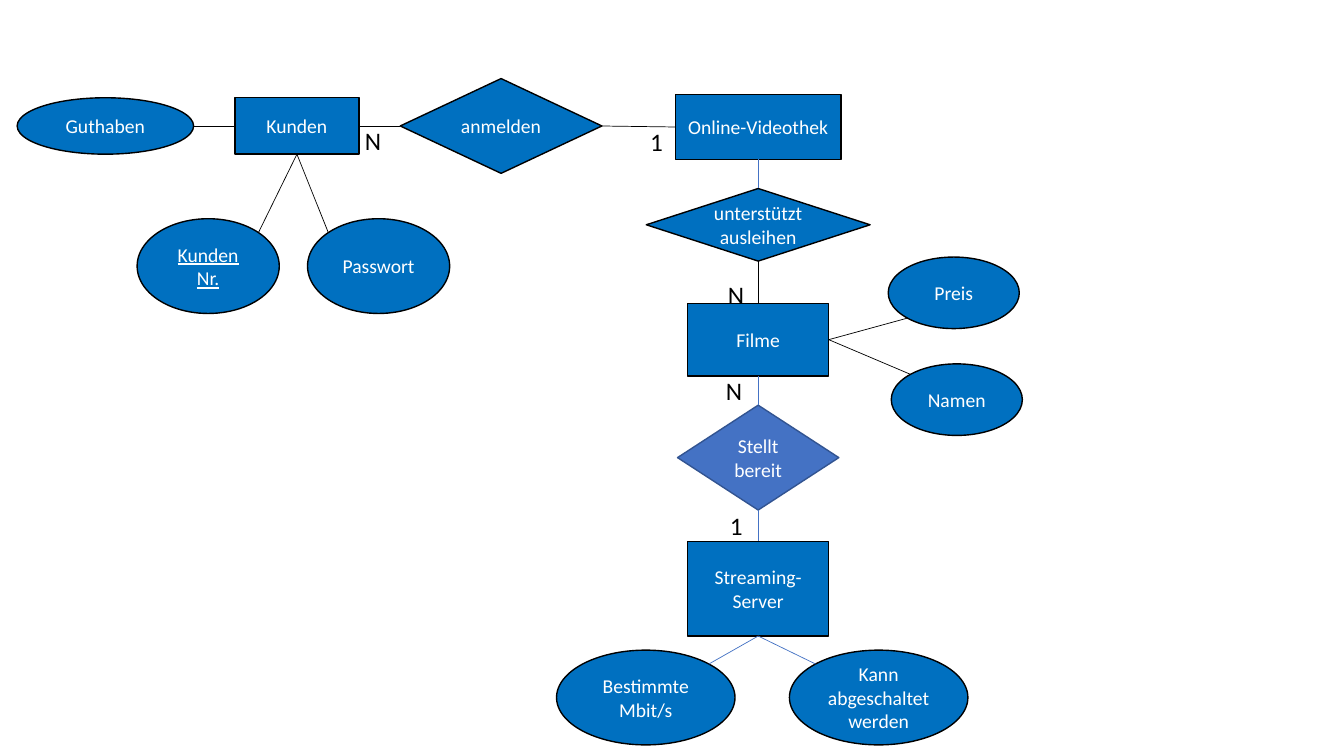
import math
import pptx
import pptx.dml.color
import pptx.enum.shapes
import pptx.enum.text
import pptx.oxml
import pptx.util

Inches = pptx.util.Inches
RGB = pptx.dml.color.RGBColor
KIND = pptx.enum.shapes.MSO_SHAPE
RECT, OVAL, RHOMB = KIND.RECTANGLE, KIND.OVAL, KIND.DIAMOND

BLUE = RGB(0x00, 0x70, 0xC0)
INDIGO = RGB(0x44, 0x72, 0xC4)
NAVY = RGB(0x32, 0x54, 0x91)
BLACK = RGB(0, 0, 0)
WHITE = RGB(255, 255, 255)
TOP, LEFT, BOTTOM, RIGHT = range(4)


def style(par, size, color):
    par.font.name = "Calibri"
    par.font.size = pptx.util.Pt(size)
    par.font.color.rgb = color


def node(slide, kind, text, x, y, w, h, fill=BLUE, edge=BLACK):
    shape = slide.shapes.add_shape(kind, Inches(x), Inches(y), Inches(w), Inches(h))
    shape.shadow.inherit = False
    shape.fill.solid()
    shape.fill.fore_color.rgb = fill
    shape.line.color.rgb = edge
    shape.line.width = pptx.util.Pt(1)
    frame = shape.text_frame
    frame.word_wrap = True
    frame.vertical_anchor = pptx.enum.text.MSO_ANCHOR.MIDDLE
    frame.text = text
    for par in frame.paragraphs:
        par.alignment = pptx.enum.text.PP_ALIGN.CENTER
        style(par, 14, WHITE)
    return shape


def label(slide, text, x, y):
    box = slide.shapes.add_textbox(Inches(x), Inches(y), Inches(0.31), Inches(0.4))
    box.text_frame.word_wrap = True
    box.text_frame.text = text
    style(box.text_frame.paragraphs[0], 18, BLACK)


def line(slide, start, side, x, y, color):
    """Draw a line from the middle of a node's side to a point."""
    wire = slide.shapes.add_connector(
        pptx.enum.shapes.MSO_CONNECTOR.STRAIGHT, x, y, x, y)
    wire.begin_connect(start, side)
    wire.line.color.rgb = color
    wire.line.width = pptx.util.Pt(0.5)
    wire._element.spPr.append(pptx.oxml.parse_xml(
        '<a:effectLst xmlns:a="http://schemas.openxmlformats.org/drawingml/2006/main"/>'))
    return wire


def join(slide, start, side, end, other, color=BLACK):
    wire = line(slide, start, side, end.left, end.top, color)
    wire.end_connect(end, other)


def reach(slide, start, side, oval, angle, color=BLACK):
    """Draw a line from a node's side to an oval's rim at a clockwise angle."""
    turn = math.radians(angle)
    x = oval.left + oval.width / 2 * (1 + math.cos(turn))
    y = oval.top + oval.height / 2 * (1 + math.sin(turn))
    line(slide, start, side, round(x), round(y), color)


def client(slide, x, y):
    buyer = node(slide, RECT, "Kunden", x + 2.16, y + 0.19, 1.23, 0.56)
    number = node(slide, OVAL, "Kunden Nr.", x + 1.19, y + 1.39, 1.41, 0.94)
    number.text_frame.paragraphs[0].font.underline = True
    code = node(slide, OVAL, "Passwort", x + 2.88, y + 1.39, 1.41, 0.94)
    funds = node(slide, OVAL, "Guthaben", x, y + 0.19, 1.75, 0.56)
    login = node(slide, RHOMB, "anmelden", x + 3.8, y, 2, 0.94)
    reach(slide, buyer, LEFT, funds, 0)
    reach(slide, buyer, BOTTOM, number, -45)
    reach(slide, buyer, BOTTOM, code, -135)
    join(slide, buyer, RIGHT, login, LEFT)
    label(slide, "N", x + 3.35, y + 0.41)
    return login


def rental(slide, x, y):
    """Place the shop, the films and their attributes."""
    mid = x + 1.11
    shop = node(slide, RECT, "Online-Videothek", mid - 0.82, y, 1.64, 0.64)
    lend = node(slide, RHOMB, "unterstützt\nausleihen", x, y + 0.93, 2.22, 0.72)
    films = node(slide, RECT, "Filme", mid - 0.7, y + 2.07, 1.4, 0.72)
    price = node(slide, OVAL, "Preis", x + 2.4, y + 1.61, 1.3, 0.71)
    name = node(slide, OVAL, "Namen", x + 2.43, y + 2.67, 1.3, 0.71)
    join(slide, shop, BOTTOM, lend, TOP, INDIGO)
    join(slide, lend, BOTTOM, films, TOP)
    reach(slide, films, RIGHT, price, 135)
    reach(slide, films, RIGHT, name, -135)
    label(slide, "1", x - 0.06, y + 0.26)
    label(slide, "N", x + 0.71, y + 1.78)
    label(slide, "N", x + 0.69, y + 2.73)
    return shop, films


def stream(slide, x, y, films):
    """Place the server, its attributes and its tie to the films."""
    mid = x + 2
    offer = node(slide, RHOMB, "Stellt bereit", mid - 0.8, y, 1.6, 1.04, INDIGO, NAVY)
    server = node(slide, RECT, "Streaming-Server", mid - 0.7, y + 1.35, 1.4, 0.94)
    speed = node(slide, OVAL, "Bestimmte Mbit/s", x, y + 2.43, 1.77, 0.94)
    switch = node(slide, OVAL, "Kann abgeschaltet werden", x + 2.31, y + 2.43, 1.77, 0.94)
    join(slide, films, BOTTOM, offer, TOP, INDIGO)
    join(slide, offer, BOTTOM, server, TOP, INDIGO)
    reach(slide, server, BOTTOM, speed, -45, INDIGO)
    reach(slide, server, BOTTOM, switch, -135, INDIGO)
    label(slide, "1", x + 1.62, y + 0.99)


def main():
    deck = pptx.Presentation()
    deck.slide_width, deck.slide_height = Inches(13.33), Inches(7.5)
    slide = deck.slides.add_slide(deck.slide_layouts[6])
    login = client(slide, 0.17, 0.78)
    shop, films = rental(slide, 6.41, 0.94)
    join(slide, login, RIGHT, shop, LEFT)
    stream(slide, 5.52, 4.02, films)
    deck.save("out.pptx")


if __name__ == "__main__":
    main()
